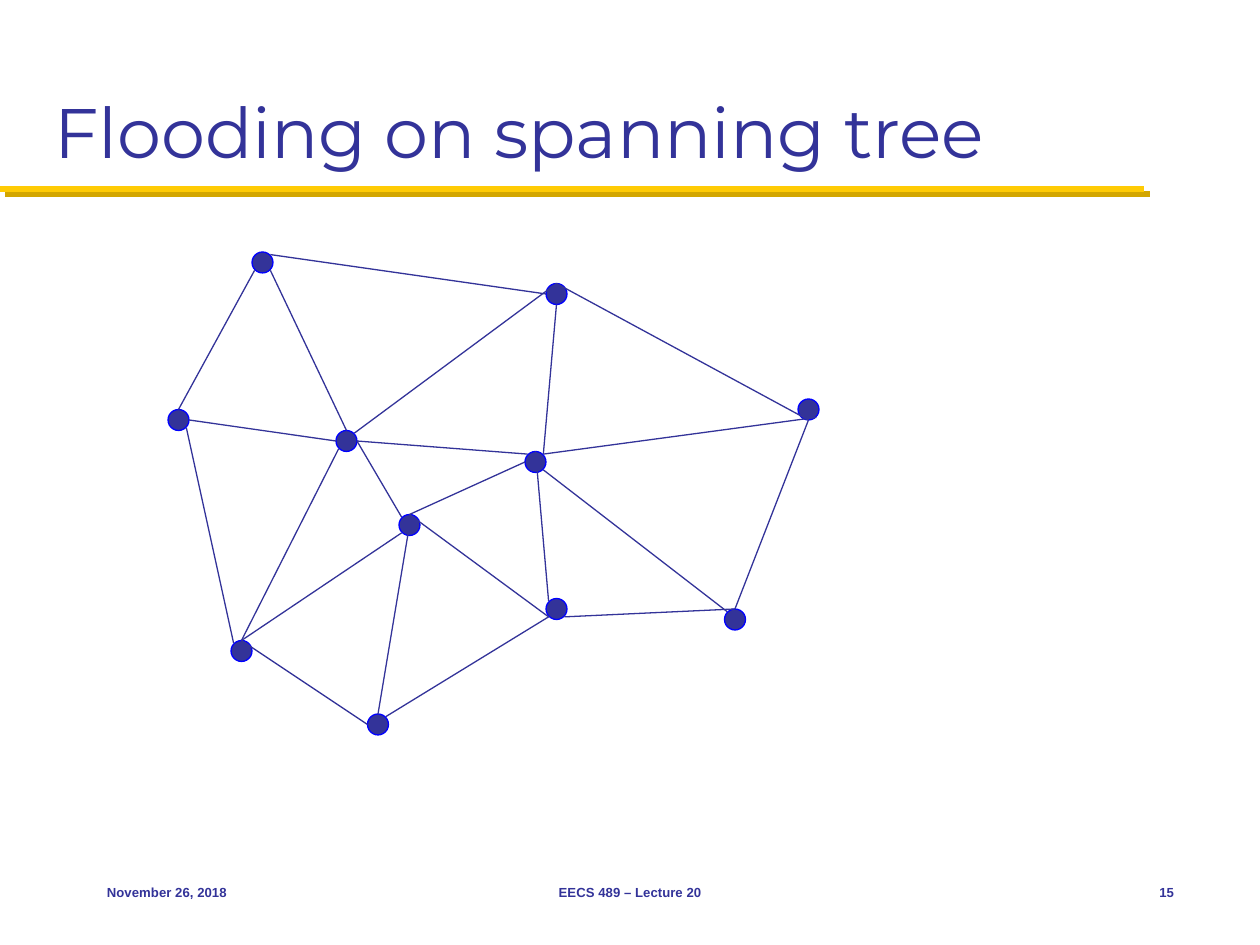
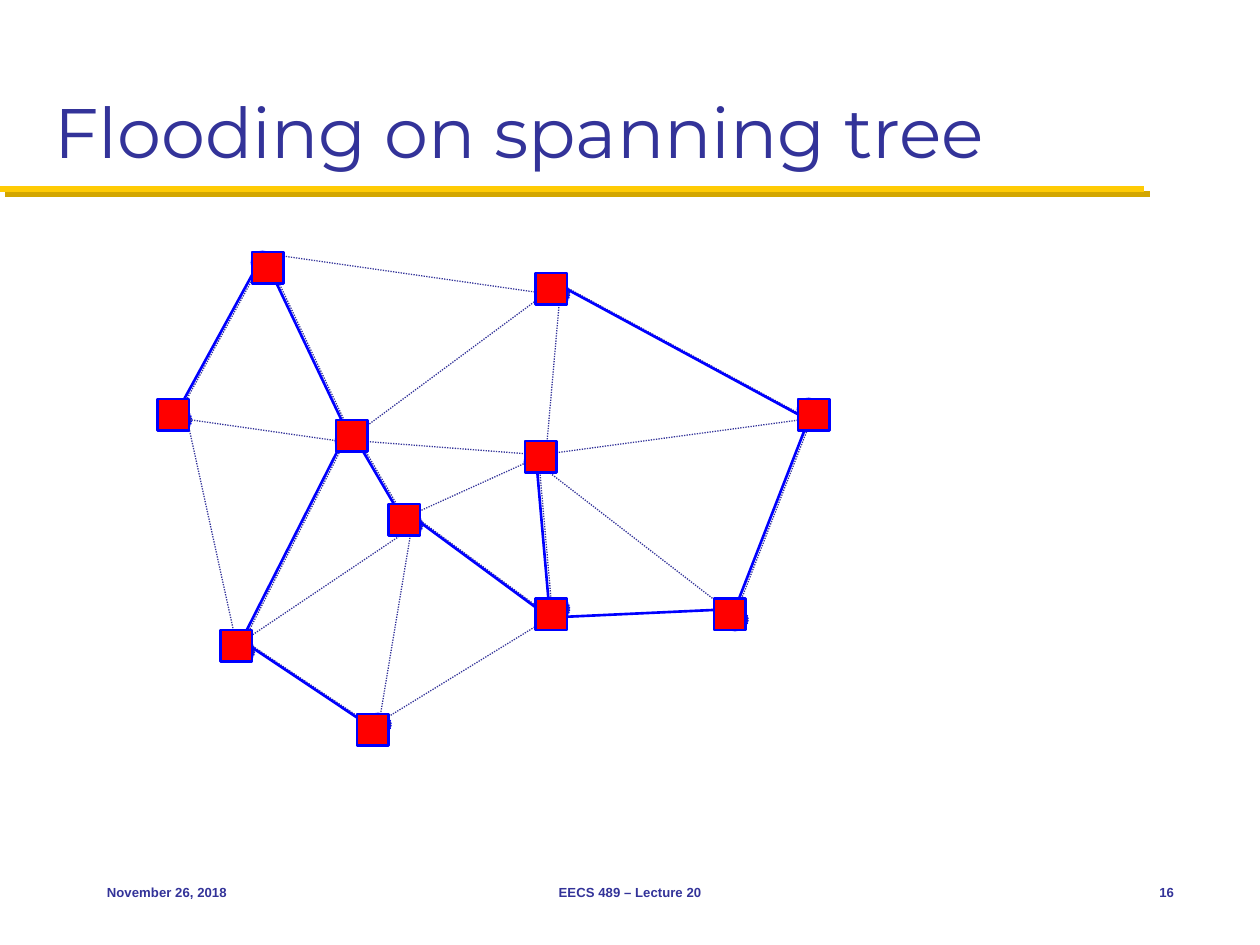
import dataclasses
from typing import NamedTuple, Optional

import lxml.etree
import pptx
import pptx.dml.color
import pptx.enum.dml
import pptx.enum.shapes
import pptx.enum.text
import pptx.oxml.ns
import pptx.util

RGBColor = pptx.dml.color.RGBColor
MSO_SHAPE = pptx.enum.shapes.MSO_SHAPE
PP_ALIGN = pptx.enum.text.PP_ALIGN
MSO_ANCHOR = pptx.enum.text.MSO_ANCHOR

# Colours and lengths shared by both slides; 96 px to the inch
INDIGO = RGBColor(0x33, 0x33, 0x99)
BLUE = RGBColor(0x00, 0x00, 0xFF)
RED = RGBColor(0xFF, 0x00, 0x00)
YELLOW = RGBColor(0xFF, 0xCB, 0x05)
SHADE = "D3A600"
PX = 9525
NODE, SQUARE = 16, 24
THIN, THICK = 0.75, 1.5
DOT = pptx.enum.dml.MSO_LINE.ROUND_DOT


class Node(NamedTuple):
    x: int
    y: int
    square_dx: int = 0
    square_dy: int = 0


class Edge(NamedTuple):
    start: str
    start_site: str
    end: str
    end_site: str
    in_tree: bool = False


@dataclasses.dataclass(frozen=True)
class Label:
    text: str
    box: tuple[int, int, int, int]
    font: str
    size: float
    bold: bool = False
    align: PP_ALIGN = PP_ALIGN.LEFT
    anchor: MSO_ANCHOR = MSO_ANCHOR.MIDDLE


# Where edges touch a node, measured from its top left corner
SITES = {
    "N": (8, 0), "NE": (14, 2), "E": (16, 8), "SE": (14, 14), "S": (8, 16),
    "SW": (2, 14), "W": (0, 8), "NW": (2, 2), "centre": (8, 8),
}

NODES = {
    "A": Node(192, 192),
    "B": Node(128, 312, -8, -8),
    "C": Node(416, 216, -8, -8),
    "D": Node(416, 456, -8, 0),
    "E": Node(280, 544, -8, 0),
    "F": Node(256, 328, 0, -8),
    "G": Node(608, 304),
    "H": Node(304, 392, -8, -8),
    "I": Node(176, 488, -8, -8),
    "J": Node(400, 344, 0, -8),
    "K": Node(552, 464, -8, -8),
}

EDGES = [
    Edge("A", "SE", "F", "N", True),
    Edge("A", "SW", "B", "N", True),
    Edge("B", "SE", "I", "NW"),
    Edge("F", "E", "H", "NW", True),
    Edge("J", "SE", "K", "NW"),
    Edge("C", "S", "J", "NE"),
    Edge("C", "N", "G", "S", True),
    Edge("G", "S", "K", "N", True),
    Edge("I", "N", "E", "W", True),
    Edge("H", "N", "D", "SW", True),
    Edge("K", "N", "D", "SE", True),
    Edge("J", "N", "D", "NW", True),
    Edge("H", "centre", "E", "N"),
    Edge("F", "E", "J", "NW"),
    Edge("B", "E", "F", "W"),
    Edge("I", "N", "H", "SW"),
    Edge("E", "NE", "D", "SW"),
    Edge("I", "N", "F", "SW", True),
    Edge("H", "N", "J", "W"),
    Edge("J", "NE", "G", "SE"),
    Edge("A", "NE", "C", "W"),
    Edge("F", "NE", "C", "N"),
]


def add_line(s, x1: int, y1: int, x2: int, y2: int, color: RGBColor,
             width: float, dash: Optional[pptx.enum.dml.MSO_LINE] = None):
    """Draw a straight line and return its empty effect list."""
    c = s.shapes.add_connector(pptx.enum.shapes.MSO_CONNECTOR.STRAIGHT,
                               x1 * PX, y1 * PX, x2 * PX, y2 * PX)
    c.line.color.rgb = color
    c.line.width = pptx.util.Pt(width)
    if dash is not None:
        c.line.dash_style = dash
    return lxml.etree.SubElement(c._element.spPr,
                                 pptx.oxml.ns.qn("a:effectLst"))


def add_mark(s, kind: MSO_SHAPE, x: int, y: int, size: int, fill: RGBColor,
             width: float,
             dash: Optional[pptx.enum.dml.MSO_LINE] = None) -> None:
    sp = s.shapes.add_shape(kind, x * PX, y * PX, size * PX, size * PX)
    sp.shadow.inherit = False
    sp.fill.solid()
    sp.fill.fore_color.rgb = fill
    sp.line.color.rgb = BLUE
    sp.line.width = pptx.util.Pt(width)
    if dash is not None:
        sp.line.dash_style = dash


def add_label(s, label: Label) -> None:
    tf = s.shapes.add_textbox(*(v * PX for v in label.box)).text_frame
    tf.word_wrap = True
    tf.vertical_anchor = label.anchor
    p = tf.paragraphs[0]
    p.text = label.text
    p.alignment = label.align
    p.font.name = label.font
    p.font.size = pptx.util.Pt(label.size)
    p.font.bold = label.bold
    p.font.color.rgb = INDIGO


def add_band(s) -> None:
    """Draw the yellow rule with its darker shadow."""
    effects = add_line(s, 0, 144, 872, 144, YELLOW, 3.5)
    qn = pptx.oxml.ns.qn
    shadow = lxml.etree.SubElement(
        effects, qn("a:outerShdw"), blurRad="0",
        dist=str(pptx.util.Pt(4.2)), dir="2700000", algn="ctr", rotWithShape="0")
    lxml.etree.SubElement(shadow, qn("a:srgbClr"), val=SHADE)


def add_network(s, edges: list[Edge], color: RGBColor, width: float,
                shift: int = 0,
                dash: Optional[pptx.enum.dml.MSO_LINE] = None) -> None:
    for node in NODES.values():
        add_mark(s, MSO_SHAPE.OVAL, node.x + shift, node.y, NODE, INDIGO,
                 width, dash)
    for edge in edges:
        a, b = NODES[edge.start], NODES[edge.end]
        (ax, ay), (bx, by) = SITES[edge.start_site], SITES[edge.end_site]
        add_line(s, a.x + ax + shift, a.y + ay, b.x + bx + shift, b.y + by,
                 color, width, dash)


def add_slide(prs, number: int):
    """Add a slide with the band, title and footer."""
    s = prs.slides.add_slide(prs.slide_layouts[6])
    add_band(s)
    labels = [
        Label("Flooding on spanning tree", (32, 16, 896, 120), "Montserrat",
              40, anchor=MSO_ANCHOR.BOTTOM),
        Label("November 26, 2018", (72, 656, 200, 48), "Arial", 7.5, True),
        Label("EECS 489 – Lecture 20", (328, 656, 304, 48), "Arial", 7.5, True,
              PP_ALIGN.CENTER),
        Label(str(number), (840, 656, 64, 48), "Arial", 7.5, True,
              PP_ALIGN.RIGHT),
    ]
    for label in labels:
        add_label(s, label)
    return s


def main() -> None:
    prs = pptx.Presentation()
    prs.slide_width, prs.slide_height = 960 * PX, 720 * PX

    # The whole network
    s = add_slide(prs, 15)
    add_network(s, EDGES, INDIGO, THIN)

    # The spanning tree over the dotted network, every node reached
    s = add_slide(prs, 16)
    add_network(s, EDGES, INDIGO, THIN, shift=2, dash=DOT)
    add_network(s, [e for e in EDGES if e.in_tree], BLUE, THICK)
    for node in NODES.values():
        add_mark(s, MSO_SHAPE.RECTANGLE, node.x + node.square_dx,
                 node.y + node.square_dy, SQUARE, RED, THICK)

    prs.save("out.pptx")


if __name__ == "__main__":
    main()
